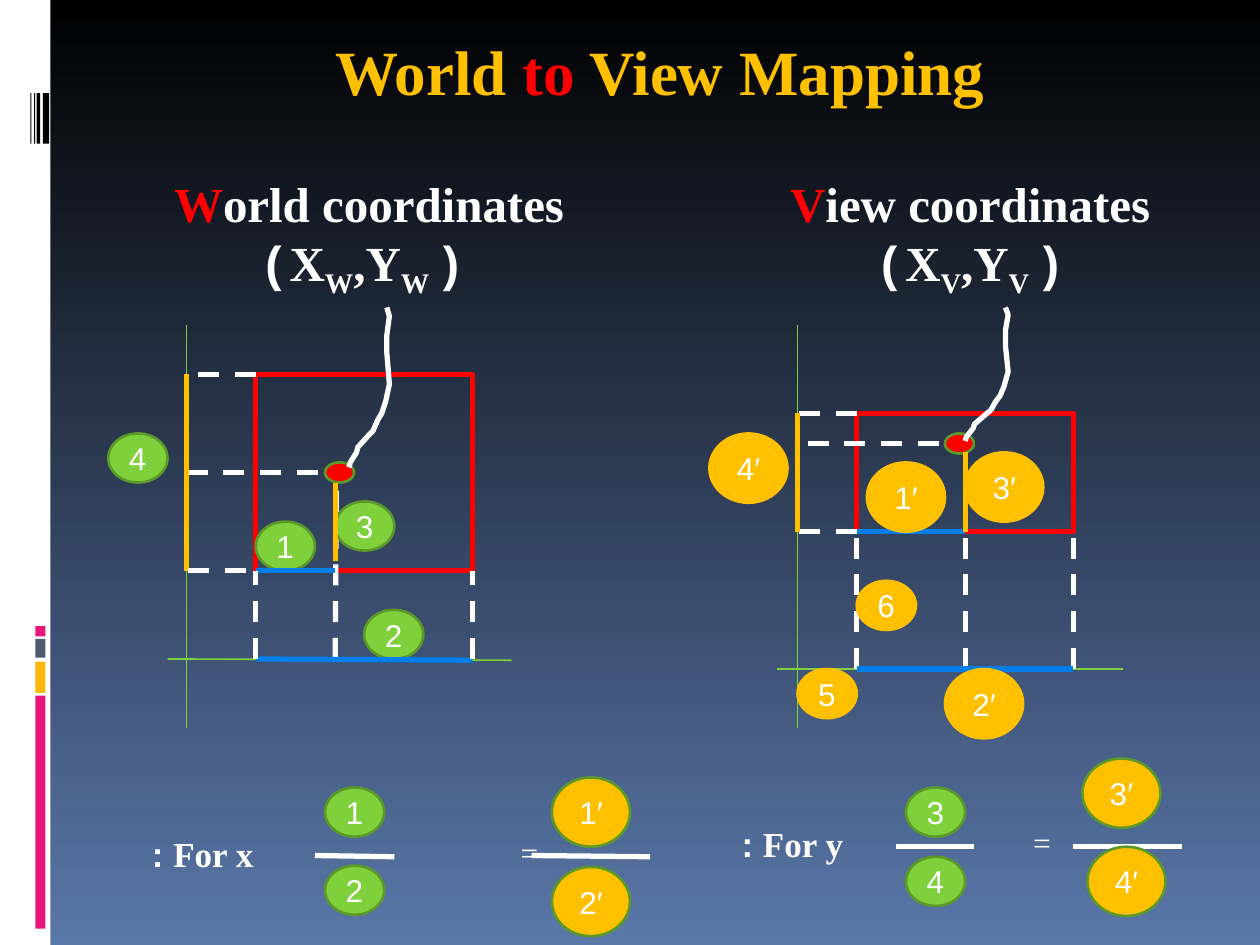
from dataclasses import dataclass

from lxml import etree
from pptx import Presentation
from pptx import util as u
from pptx.dml.color import RGBColor
from pptx.enum import dml, shapes, text
from pptx.oxml.ns import qn

WHITE, RED, GOLD, BLUE = "FFFFFF", "FF0000", "FFC000", "007EEA"
GREEN, DARK_GREEN, PINK = "7FD13B", "5C9929", "EA157A"
SERIF, SANS = "Times New Roman", "Arial"
CENTER, RIGHT = text.PP_ALIGN.CENTER, text.PP_ALIGN.RIGHT


@dataclass
class Badge:
    left: float
    top: float
    label: str
    fill: str = GREEN
    line: str = DARK_GREEN


@dataclass
class Segment:
    x1: float
    y1: float
    x2: float
    y2: float
    color: str = WHITE
    width: float = 3
    dashed: bool = False


def cm(inches: float) -> u.Length:
    return u.Cm(inches * 2.54)


def rgb(color: str) -> RGBColor:
    return RGBColor.from_string(color)


def add_run(p, content: str, *, size=18, color=WHITE, font=SERIF,
            complex_font=SANS, bold=False, subscript=False) -> None:
    r = p.add_run()
    r.text = content
    f = r.font
    f.size, f.bold, f.name = u.Pt(size), bold, font
    f.color.rgb = rgb(color)
    props = r._r.get_or_add_rPr()
    if subscript:
        props.set("baseline", "-25000")
    etree.SubElement(props, qn("a:cs")).set("typeface", complex_font)


def format_paragraph(p, align, rtl: bool = True):
    p.alignment = align
    if rtl:
        p._p.get_or_add_pPr().set("rtl", "1")
    return p


def add_text_frame(s, left, top, width, height):
    box = s.shapes.add_textbox(cm(left), cm(top), cm(width), cm(height))
    box.text_frame.word_wrap = True
    return box.text_frame


def add_shape(s, kind, left, top, width, height, fill=None, line=None, weight=1.5):
    sp = s.shapes.add_shape(kind, cm(left), cm(top), cm(width), cm(height))
    sp.shadow.inherit = False
    if fill:
        sp.fill.solid()
        sp.fill.fore_color.rgb = rgb(fill)
    else:
        sp.fill.background()
    if line:
        sp.line.color.rgb = rgb(line)
        sp.line.width = u.Pt(weight)
    else:
        sp.line.fill.background()
    return sp


def add_badge(s, b: Badge) -> None:
    size = (0.62, 0.55) if "′" in b.label else (0.47, 0.39)
    sp = add_shape(s, shapes.MSO_SHAPE.FLOWCHART_CONNECTOR, b.left, b.top, *size,
                   b.fill, b.line)
    tf = sp.text_frame
    tf.vertical_anchor = text.MSO_ANCHOR.MIDDLE
    p = format_paragraph(tf.paragraphs[0], CENTER)
    add_run(p, b.label[0])
    if b.label[1:]:
        add_run(p, b.label[1:], font=SANS)


def add_segment(s, g: Segment) -> None:
    line = s.shapes.add_connector(shapes.MSO_CONNECTOR.STRAIGHT,
                                  cm(g.x1), cm(g.y1), cm(g.x2), cm(g.y2))
    line.line.color.rgb = rgb(g.color)
    line.line.width = u.Pt(g.width)
    if g.dashed:
        line.line.dash_style = dml.MSO_LINE.DASH
    etree.SubElement(line.element.spPr, qn("a:effectLst"))


def dash(x1, y1, x2, y2) -> Segment:
    return Segment(x1, y1, x2, y2, dashed=True)


def axis(x1, y1, x2, y2) -> Segment:
    return Segment(x1, y1, x2, y2, GREEN, 0.94)


# Leader outline, relative to its upper end
LEADER = [(0.02, 0.07), (0, 0.22), (0, 0.36), (0.02, 0.61), (-0.01, 0.75), (-0.04, 0.84),
          (-0.07, 0.89), (-0.11, 0.98), (-0.14, 1.01), (-0.23, 1.11), (-0.24, 1.15),
          (-0.29, 1.23), (-0.3, 1.27)]


def add_leader(s, x: float, y: float, width: float, height: float) -> None:
    builder = s.shapes.build_freeform(cm(x), cm(y))
    builder.add_line_segments([(cm(x + dx * width / 0.3), cm(y + dy * height / 1.27))
                               for dx, dy in LEADER], close=False)
    sp = builder.convert_to_shape()
    sp.shadow.inherit = False
    sp.fill.background()
    sp.line.color.rgb = rgb(WHITE)
    sp.line.width = u.Pt(3)


def add_window(s, left, top, height) -> None:
    add_shape(s, shapes.MSO_SHAPE.FLOWCHART_PROCESS, left, top, 1.72, height,
              line=RED, weight=2.75)


def add_point(s, left, top) -> None:
    add_shape(s, shapes.MSO_SHAPE.FLOWCHART_CONNECTOR, left, top, 0.23, 0.16, RED, DARK_GREEN)


def add_all(s, items) -> None:
    for item in items:
        (add_badge if isinstance(item, Badge) else add_segment)(s, item)


def add_heading(s, left: float, word: str) -> None:
    tf = add_text_frame(s, left, 1.33, 3.36, 1.1)
    p = format_paragraph(tf.paragraphs[0], CENTER)
    add_run(p, word[0], size=28, color=RED, bold=True)
    add_run(p, word[1:] + " coordinates", size=28, bold=True)
    p = format_paragraph(tf.add_paragraph(), CENTER)
    lead = " ( X" if word == "World" else "( X"
    for part, sub in ((lead, False), (word[0], True), (",Y", False),
                      (word[0] + " ", True), (")", False)):
        add_run(p, part, size=28, bold=True, subscript=sub)


def add_label(s, left, top, width, height, content, **fmt) -> None:
    tf = add_text_frame(s, left, top, width, height)
    add_run(format_paragraph(tf.paragraphs[0], RIGHT), content, **fmt)


def main() -> None:
    prs = Presentation()
    prs.slide_width, prs.slide_height = cm(10), cm(7.5)
    layout = prs.slide_layouts[5]
    s = prs.slides.add_slide(layout)

    # Background, and side strip that belongs to the layout
    bg = s.background.fill
    bg.gradient()
    bg.gradient_angle = 270
    for stop, color in zip(bg.gradient_stops, ("000000", "5A77A9")):
        stop.color.rgb = rgb(color)
    strip = [(0, 0, 0.4, 7.5, WHITE)]
    strip += [(0.28, top, 0.08, h, c) for top, h, c in (
        (5.52, 1.85, PINK), (5.25, 0.25, "FEB80A"), (5.07, 0.15, "4E5B6F"), (4.97, 0.08, PINK))]
    strip += [(x, 0.74, w, 0.4, "000000")
              for x, w in ((0.34, 0.05), (0.29, 0.03), (0.27, 0.01), (0.24, 0.01))]
    for bar in strip:
        sp = add_shape(s, shapes.MSO_SHAPE.RECTANGLE, *bar)
        layout.shapes.element.append(sp.element)

    # Title and headings
    title = s.shapes.title
    title.left, title.top, title.width, title.height = map(cm, (2.56, 0.21, 5.41, 0.7))
    tf = title.text_frame
    tf.word_wrap, tf.auto_size = False, text.MSO_AUTO_SIZE.NONE
    tf.vertical_anchor = text.MSO_ANCHOR.TOP
    p = format_paragraph(tf.paragraphs[0], text.PP_ALIGN.LEFT, rtl=False)
    for part, color in (("World ", GOLD), ("to", RED), (" View Mapping", GOLD)):
        add_run(p, part, size=36, color=color, bold=True)
    add_heading(s, 1.25, "World")
    add_heading(s, 6.02, "View")

    # Ratio equations
    add_label(s, 1.02, 6.56, 1.09, 0.77, "For x :", size=20, bold=True)
    add_label(s, 5.7, 6.48, 1.09, 0.77, "For y :", size=20, bold=True)
    add_label(s, 3.28, 6.56, 1.09, 0.4, "=", font=SANS, complex_font=SERIF)
    add_label(s, 7.58, 6.48, 0.86, 0.7, "=", font=SANS, complex_font=SERIF)
    add_all(s, [
        Segment(2.5, 6.79, 3.13, 6.8), Segment(4.22, 6.79, 5.16, 6.8),
        Segment(7.11, 6.72, 7.73, 6.72), Segment(8.52, 6.72, 9.38, 6.72),
        Badge(2.58, 6.25, "1"), Badge(2.58, 6.87, "2"),
        Badge(7.19, 6.25, "3"), Badge(7.19, 6.8, "4"),
        Badge(4.38, 6.17, "1′", GOLD), Badge(4.38, 6.88, "2′", GOLD),
        Badge(8.59, 6.02, "3′", GOLD), Badge(8.63, 6.72, "4′", GOLD)])

    # World plot
    add_all(s, [axis(1.48, 2.58, 1.48, 5.78), axis(1.33, 5.23, 4.06, 5.24)])
    add_window(s, 2.03, 2.97, 1.56)
    add_point(s, 2.58, 3.67)
    add_all(s, [
        dash(1.48, 3.75, 2.58, 3.75), dash(2.66, 5.23, 2.67, 3.83),
        Badge(2.03, 4.14, "1"), Badge(2.89, 4.84, "2"),
        Badge(2.66, 3.98, "3"), Badge(0.86, 3.44, "4"),
        Segment(2.03, 4.53, 2.66, 4.53, BLUE), Segment(2.03, 5.23, 3.75, 5.24, BLUE),
        dash(2.03, 5.23, 2.03, 4.53), dash(3.75, 5.23, 3.75, 4.53),
        Segment(2.66, 4.45, 2.66, 3.83, GOLD), Segment(1.48, 4.53, 1.48, 2.97, GOLD),
        dash(1.95, 4.53, 1.48, 4.53), dash(2.03, 2.97, 1.48, 2.97)])
    add_leader(s, 3.07, 2.44, 0.3, 1.27)

    # View plot
    add_all(s, [axis(6.33, 2.58, 6.33, 5.78), axis(6.17, 5.31, 8.91, 5.31)])
    add_window(s, 6.8, 3.28, 0.94)
    add_all(s, [dash(6.41, 3.52, 7.5, 3.52), dash(7.66, 5.31, 7.66, 3.59)])
    add_point(s, 7.5, 3.44)
    add_all(s, [dash(x, 5.31, x, 4.22) for x in (8.52, 6.8)])
    add_all(s, [dash(6.8, y, 6.33, y) for y in (4.22, 3.28)])
    add_all(s, [
        Segment(6.8, 4.22, 7.66, 4.22, BLUE), Segment(6.8, 5.31, 8.52, 5.31, BLUE),
        Segment(7.66, 4.22, 7.66, 3.59, GOLD), Segment(6.33, 4.22, 6.33, 3.28, GOLD)])
    add_leader(s, 7.98, 2.44, 0.32, 1.06)
    add_all(s, [Badge(x, y, label, GOLD, GOLD) for x, y, label in (
        (6.33, 5.31, "5"), (6.88, 3.67, "1′"), (7.5, 5.31, "2′"),
        (7.66, 3.59, "3′"), (5.63, 3.44, "4′"), (6.8, 4.61, "6"))])

    prs.save("out.pptx")


if __name__ == "__main__":
    main()
